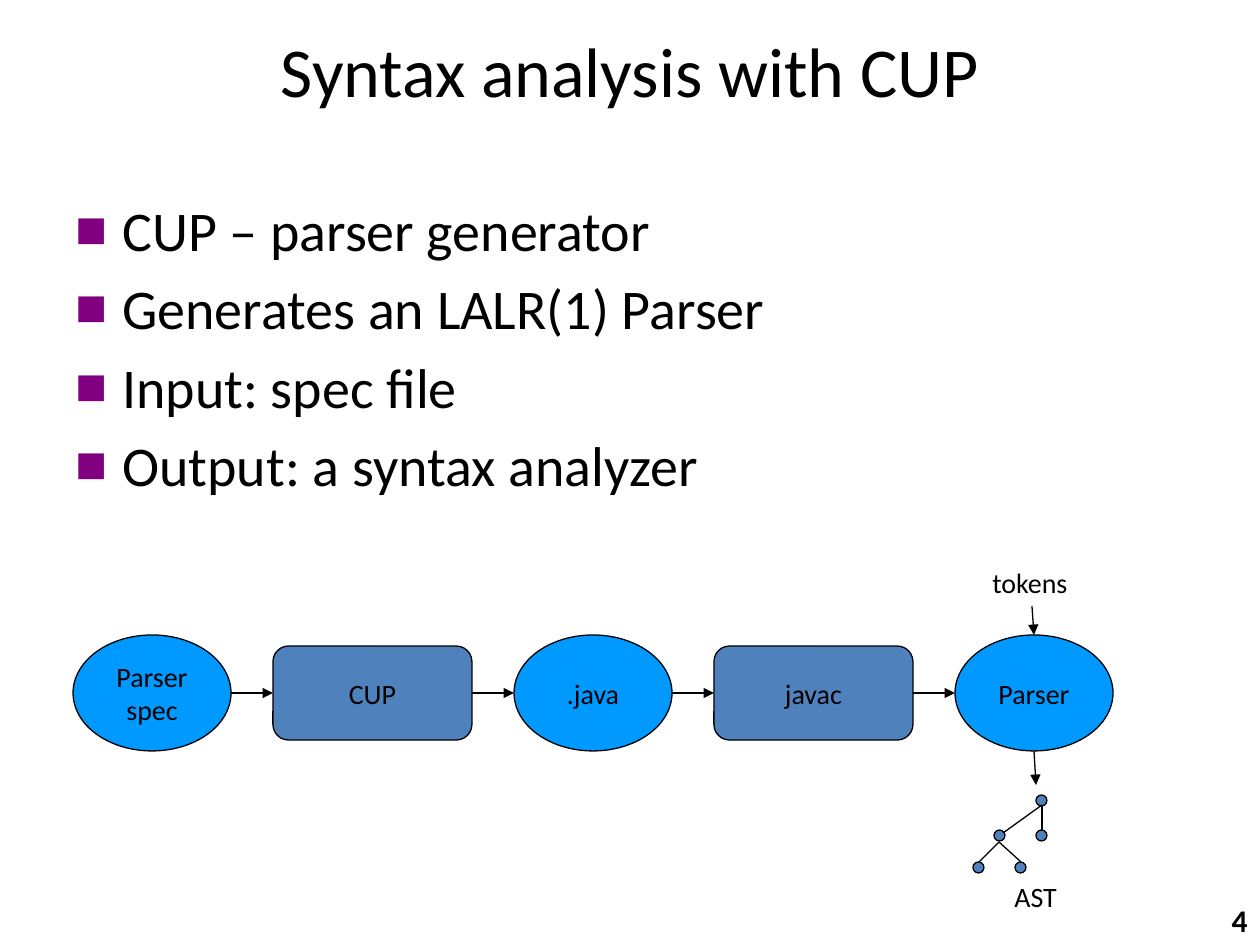
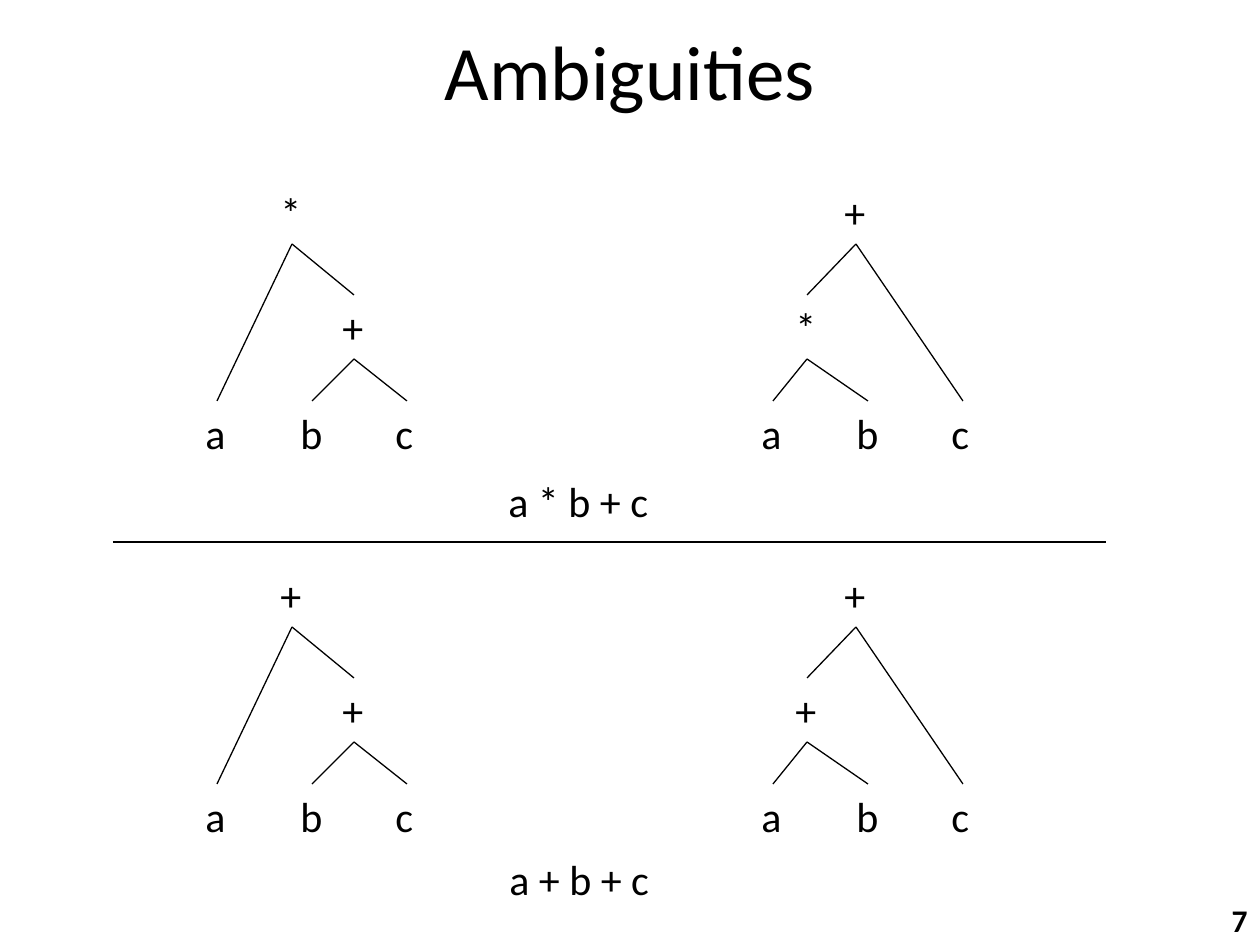
from typing import NamedTuple

from lxml.etree import SubElement
from pptx import Presentation
from pptx.dml.color import RGBColor
from pptx.enum.shapes import MSO_CONNECTOR, MSO_SHAPE
from pptx.enum.text import MSO_ANCHOR, MSO_AUTO_SIZE, PP_ALIGN
from pptx.oxml import parse_xml
from pptx.oxml.ns import nsdecls, qn
from pptx.util import Emu, Pt

EMU_PER_PX = 914400 / 126
FONT = "Calibri"
BLACK, BLUE, STEEL, PURPLE = "000000", "0099FF", "4F81BD", "800080"


class Box(NamedTuple):
    x: int
    y: int
    w: int
    h: int


class Point(NamedTuple):
    x: int
    y: int


class Stage(NamedTuple):
    text: str
    is_tool: bool


class Tree(NamedTuple):
    x: int
    y: int
    root_x: int
    inner_x: int
    root_op: str
    inner_op: str
    root_leaf: int


TITLE = Box(63, 16, 1134, 107)
PAGE_NUMBER = Box(1196, 895, 64, 50)

BULLETS = Box(63, 189, 1126, 407)
BULLET_INDENT = 47
STAGES = [
    Stage("Parser\nspec", False),
    Stage("CUP", True),
    Stage(".java", False),
    Stage("javac", True),
    Stage("Parser", False),
]
STAGE_LEFT, STAGE_MIDDLE, STAGE_GAP = 73, 693, 42
FILE_SIZE, TOOL_SIZE = (158, 116), (199, 94)
AST_DOT = 11
AST_NODES = [Point(1036, 795), Point(994, 830), Point(1036, 830),
             Point(973, 862), Point(1015, 862)]
AST_EDGES = [
    (Point(1042, 805), Point(1003, 833)),
    (Point(1042, 805), Point(1042, 830)),
    (Point(999, 842), Point(979, 862)),
    (Point(999, 842), Point(1021, 862)),
]

LEAVES = {"a": 24, "b": 119, "c": 214}
ROOT_Y, INNER_Y, LEAF_Y = 0, 115, 221
NODE_W, NODE_H = 48, 64
LEFT_X, RIGHT_X, TOP_Y, LOWER_Y = 193, 749, 180, 563
TREES = [
    Tree(LEFT_X, TOP_Y, 99, 161, "*", "+", 0),
    Tree(RIGHT_X, TOP_Y, 107, 58, "+", "*", 2),
    Tree(LEFT_X, LOWER_Y, 99, 161, "+", "+", 0),
    Tree(RIGHT_X, LOWER_Y, 107, 58, "+", "+", 2),
]


def px(n: int) -> Emu:
    return Emu(round(n * EMU_PER_PX))


def color(value: str) -> RGBColor:
    return RGBColor.from_string(value)


def write(sp, text: str, size: int, align=PP_ALIGN.LEFT, bold: bool = False):
    tf = sp.text_frame
    tf.text = text
    for p in tf.paragraphs:
        p.alignment = align
        p.font.name = FONT
        p.font.size = Pt(size)
        p.font.bold = bold
        p.font.color.rgb = color(BLACK)
    return tf


def add_text(s, box: Box, text: str, size: int, align=PP_ALIGN.LEFT, bold: bool = False):
    tf = write(s.shapes.add_textbox(*map(px, box)), text, size, align, bold)
    tf.word_wrap = True
    return tf


def add_label(s, box: Box, text: str, size: int) -> None:
    tf = add_text(s, box, text, size)
    tf.word_wrap = False
    tf.auto_size = MSO_AUTO_SIZE.SHAPE_TO_FIT_TEXT


def add_node(s, kind, box: Box, fill: str):
    sp = s.shapes.add_shape(kind, *map(px, box))
    sp.shadow.inherit = False
    sp.fill.solid()
    sp.fill.fore_color.rgb = color(fill)
    sp.line.color.rgb = color(BLACK)
    sp.line.width = Pt(0.75)
    return sp


def add_line(s, start: Point, end: Point, arrow: bool = False) -> None:
    cxn = s.shapes.add_connector(MSO_CONNECTOR.STRAIGHT, *map(px, (*start, *end)))
    cxn.line.color.rgb = color(BLACK)
    cxn.line.width = Pt(0.75)
    sp_pr = cxn._element.spPr
    if arrow:
        SubElement(sp_pr.find(qn("a:ln")), qn("a:tailEnd"), type="triangle")
    SubElement(sp_pr, qn("a:effectLst"))


def add_slide(prs, title: str, title_size: int, number: int):
    s = prs.slides.add_slide(prs.slide_layouts[6])
    tf = add_text(s, TITLE, title, title_size, PP_ALIGN.CENTER)
    tf.vertical_anchor = MSO_ANCHOR.MIDDLE
    add_text(s, PAGE_NUMBER, str(number), 18, PP_ALIGN.RIGHT, bold=True)
    return s


def add_bullets(s, lines: list[str]) -> None:
    ns = nsdecls("a")
    tf = add_text(s, BULLETS, "\n".join(lines), 32)
    for p in tf.paragraphs:
        p_pr = p._p.get_or_add_pPr()
        p_pr.set("marL", str(px(BULLET_INDENT)))
        p_pr.set("indent", str(-px(BULLET_INDENT)))
        settings = [
            f'<a:spcBef {ns}><a:spcPct val="20000"/></a:spcBef>',
            f'<a:buClr {ns}><a:srgbClr val="{PURPLE}"/></a:buClr>',
            f'<a:buSzPct {ns} val="60000"/>',
            f'<a:buFont {ns} typeface="{FONT}"/>',
            f'<a:buChar {ns} char="■"/>',
        ]
        for i, xml in enumerate(settings):
            p_pr.insert(i, parse_xml(xml))


def add_pipeline(s) -> None:
    x = STAGE_LEFT
    for i, stage in enumerate(STAGES):
        w, h = TOOL_SIZE if stage.is_tool else FILE_SIZE
        kind = MSO_SHAPE.ROUNDED_RECTANGLE if stage.is_tool else MSO_SHAPE.OVAL
        box = Box(x, STAGE_MIDDLE - h // 2, w, h)
        sp = add_node(s, kind, box, STEEL if stage.is_tool else BLUE)
        tf = write(sp, stage.text, 16, PP_ALIGN.CENTER)
        tf.vertical_anchor = MSO_ANCHOR.MIDDLE
        tf.word_wrap = False
        if i:
            add_line(s, Point(x - STAGE_GAP, STAGE_MIDDLE), Point(x, STAGE_MIDDLE), arrow=True)
        x += w + STAGE_GAP


def add_ast(s) -> None:
    for node in AST_NODES:
        add_node(s, MSO_SHAPE.OVAL, Box(*node, AST_DOT, AST_DOT), STEEL)
    for start, end in AST_EDGES:
        add_line(s, start, end)
    add_label(s, Box(1002, 873, 68, 47), "AST", 16)


def add_tree(s, tree: Tree) -> None:
    """Draw a parse tree whose root holds one leaf and an inner operator."""

    def top(x: int, y: int) -> Point:
        return Point(tree.x + x, tree.y + y)

    nodes = [(tree.root_op, tree.root_x, ROOT_Y), (tree.inner_op, tree.inner_x, INNER_Y)]
    nodes += [(name, x, LEAF_Y) for name, x in LEAVES.items()]
    for name, x, y in nodes:
        add_label(s, Box(*top(x - NODE_W // 2, y), NODE_W, NODE_H), name, 24)

    root = top(tree.root_x, ROOT_Y + NODE_H)
    inner = top(tree.inner_x, INNER_Y + NODE_H)
    add_line(s, root, top(tree.inner_x, INNER_Y))
    for i, x in enumerate(LEAVES.values()):
        add_line(s, root if i == tree.root_leaf else inner, top(x, LEAF_Y))


def build_cup_slide(prs) -> None:
    s = add_slide(prs, "Syntax analysis with CUP", 40, 4)
    add_bullets(s, [
        "CUP – parser generator",
        "Generates an LALR(1) Parser",
        "Input: spec file",
        "Output: a syntax analyzer",
    ])
    add_pipeline(s)
    add_label(s, Box(980, 559, 102, 47), "tokens", 16)
    add_line(s, Point(1032, 606), Point(1034, 635), arrow=True)
    add_line(s, Point(1034, 751), Point(1036, 785), arrow=True)
    add_ast(s)


def build_ambiguities_slide(prs) -> None:
    s = add_slide(prs, "Ambiguities", 44, 7)
    for tree in TREES:
        add_tree(s, tree)
    add_label(s, Box(496, 469, 166, 63), "a * b + c", 24)
    add_line(s, Point(113, 542), Point(1106, 542))
    add_label(s, Box(497, 847, 166, 63), "a + b + c", 24)


def main() -> None:
    prs = Presentation()
    prs.slide_width, prs.slide_height = px(1260), px(945)
    build_cup_slide(prs)
    build_ambiguities_slide(prs)
    prs.save("out.pptx")


if __name__ == "__main__":
    main()
